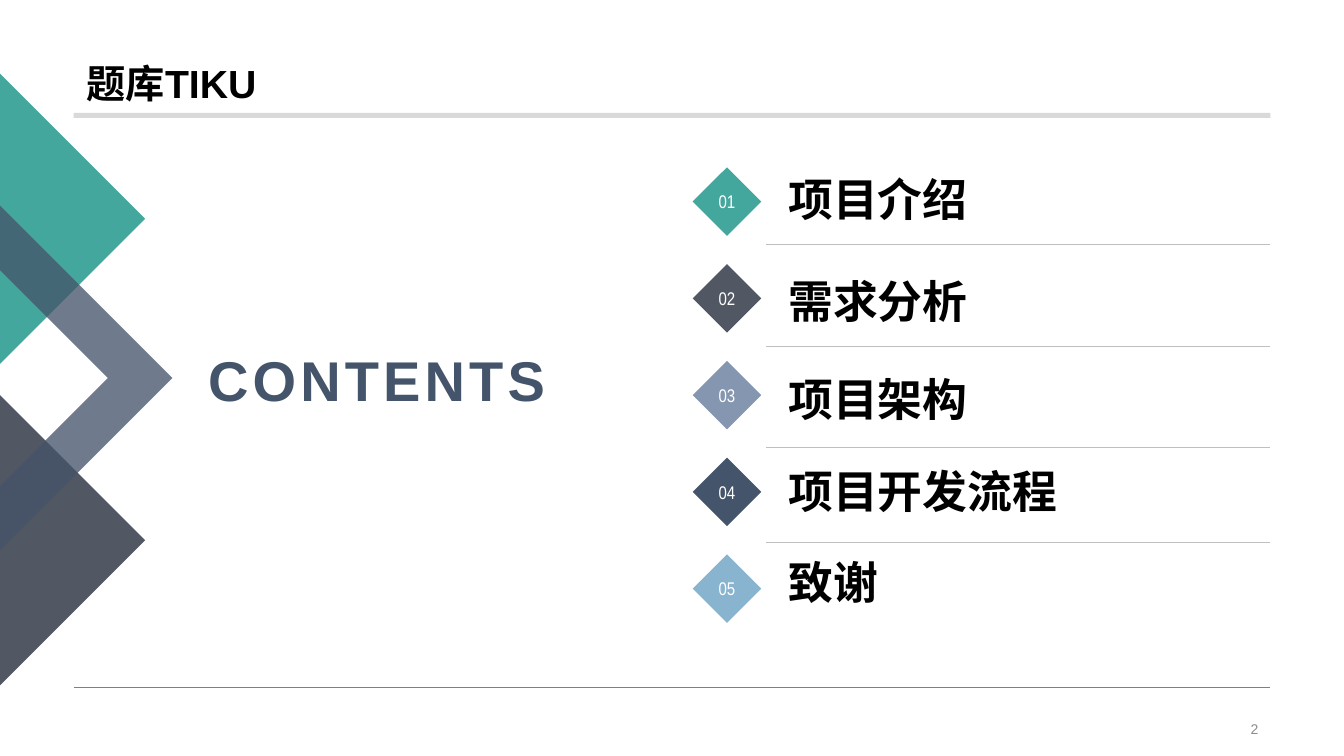
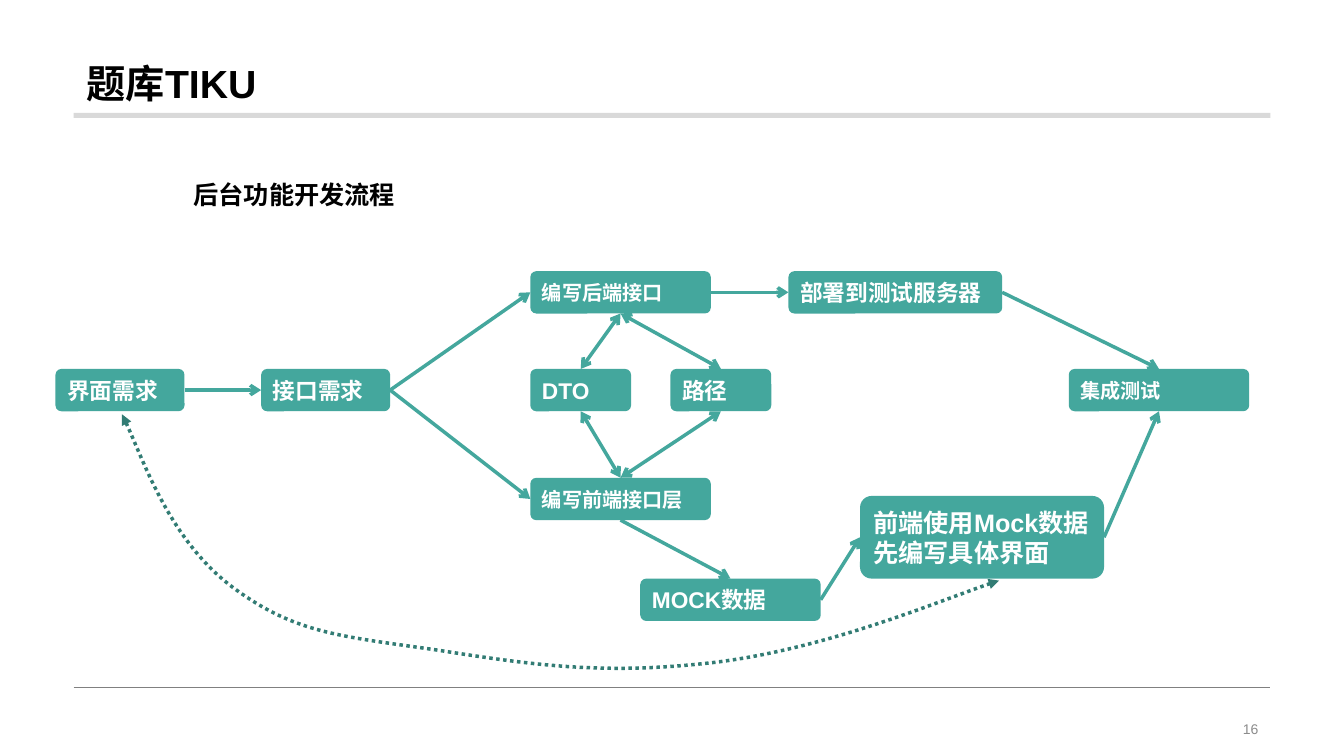
import lxml.etree
import pptx
import pptx.dml.color
import pptx.enum.dml
import pptx.enum.shapes
import pptx.enum.text
import pptx.oxml.ns
import pptx.util

PX = 9144
FONT = "Arial"
COLORS = {
    "white": "FFFFFF", "black": "000000", "band": "D9D9D9", "footer": "808080",
    "number": "8C8C8C", "divider": "BFBFBF", "teal": "44A79D", "deep teal": "327C74",
    "charcoal": "525863", "navy": "44546A", "slate": "8496B0", "sky": "89B4CF",
}
ALIGN = pptx.enum.text.PP_ALIGN
ANCHOR = pptx.enum.text.MSO_ANCHOR
SHAPE = pptx.enum.shapes.MSO_SHAPE
TOP, LEFT, BOTTOM, RIGHT = range(4)

CONTENTS = [
    ("项目介绍", "teal", 170),
    ("需求分析", "charcoal", 271),
    ("项目架构", "slate", 368),
    ("项目开发流程", "navy", 459),
    ("致谢", "sky", 550),
]
DIVIDERS = [242, 343, 444, 538]
CHEVRONS = [
    ([(0, 680), (0, 392), (144, 536)], "charcoal", None),
    ([(0, 73), (144, 217), (0, 361)], "teal", None),
    ([(171, 375), (0, 546), (0, 482), (107, 375), (0, 268), (0, 204)], "navy", 77),
]
STEPS = {
    "screen": ("界面需求", (55, 366, 128, 42), 16.2),
    "interface": ("接口需求", (259, 366, 128, 42), 16.2),
    "backend": ("编写后端接口", (526, 269, 179, 42), 14.4),
    "frontend": ("编写前端接口层", (526, 474, 179, 42), 14.4),
    "dto": ("DTO", (526, 366, 100, 42), 16.2),
    "route": ("路径", (665, 366, 100, 42), 16.2),
    "pages": ("前端使用Mock数据\n先编写具体界面", (853, 492, 242, 82), 18),
    "mock": ("MOCK数据", (635, 574, 179, 42), 16.2),
    "deploy": ("部署到测试服务器", (782, 269, 212, 42), 16.2),
    "integration": ("集成测试", (1060, 366, 179, 42), 14.4),
}
FLOWS = [
    ("screen", RIGHT, "interface", LEFT, False),
    ("interface", RIGHT, "backend", LEFT, False),
    ("interface", RIGHT, "frontend", LEFT, False),
    ("backend", BOTTOM, "dto", TOP, True),
    ("dto", BOTTOM, "frontend", TOP, True),
    ("backend", BOTTOM, "route", TOP, True),
    ("route", BOTTOM, "frontend", TOP, True),
    ("backend", RIGHT, "deploy", LEFT, False),
    ("frontend", BOTTOM, "mock", TOP, False),
    ("mock", RIGHT, "pages", LEFT, False),
    ("deploy", RIGHT, "integration", TOP, False),
    ("pages", RIGHT, "integration", BOTTOM, False),
]
FEEDBACK = [
    (121, 411), (138, 444), (168, 535), (230, 582), (293, 629), (338, 631), (434, 645),
    (530, 660), (599, 670), (710, 657), (822, 643), (941, 592), (991, 576),
]


def qn(tag):
    """Return the qualified name of a prefixed tag."""
    return pptx.oxml.ns.qn(tag)


def rgb(color):
    """Return the named colour."""
    return pptx.dml.color.RGBColor.from_string(COLORS[color])


def emu(lengths):
    """Turn px lengths into EMU."""
    return [pptx.util.Emu(length * PX) for length in lengths]


def write(frame, text, size=18, color="black", bold=False, font=FONT, align=ALIGN.LEFT,
          anchor=ANCHOR.MIDDLE, wrap=True, line_spacing=None, tracking=None):
    """Fill a text frame with text in one format."""
    frame.text = text
    frame.word_wrap = wrap
    frame.vertical_anchor = anchor
    for paragraph in frame.paragraphs:
        paragraph.alignment = align
        paragraph.line_spacing = line_spacing
        for run in paragraph.runs:
            run.font.name = font
            run.font.size = pptx.util.Pt(size)
            run.font.bold = bold
            run.font.color.rgb = rgb(color)
            if tracking:
                run.font._element.set("spc", str(tracking * 100))


def add_label(slide, box, text, **style):
    """Add a text box."""
    write(slide.shapes.add_textbox(*emu(box)).text_frame, text, **style)


def paint(shape, color, opacity=None):
    """Give a shape a flat fill without line or shadow."""
    shape.shadow.inherit = False
    shape.line.fill.background()
    shape.fill.solid()
    shape.fill.fore_color.rgb = rgb(color)
    if opacity:
        tint = shape._element.spPr.find(".//" + qn("a:srgbClr"))
        lxml.etree.SubElement(tint, qn("a:alpha"), val=str(opacity * 1000))


def add_block(slide, kind, box, color):
    """Add a flat preset shape."""
    block = slide.shapes.add_shape(kind, *emu(box))
    paint(block, color)
    return block


def add_arrowheads(shape, head, tail):
    """Put arrowheads on the ends of a line that has its colour set."""
    outline = shape._element.spPr.find(qn("a:ln"))
    for tag, kind in (("a:headEnd", head), ("a:tailEnd", tail)):
        if kind:
            lxml.etree.SubElement(outline, qn(tag), type=kind)


def add_line(slide, color, width, ends=(0, 0, 0, 0), head=None, tail=None):
    """Add a straight connector."""
    line = slide.shapes.add_connector(pptx.enum.shapes.MSO_CONNECTOR.STRAIGHT, *emu(ends))
    line.line.color.rgb = rgb(color)
    line.line.width = pptx.util.Pt(width)
    add_arrowheads(line, head, tail)
    lxml.etree.SubElement(line._element.spPr, qn("a:effectLst"))
    return line


def add_outline(slide, points, close=True):
    """Add a freeform through px points."""
    builder = slide.shapes.build_freeform(*points[0], scale=PX)
    builder.add_line_segments(points[1:], close=close)
    return builder.convert_to_shape()


def add_curve(slide, points, color, width):
    """Add a dotted Bezier curve with triangles at both ends."""
    curve = add_outline(slide, points, close=False)
    curve.shadow.inherit = False
    curve.fill.background()
    curve.line.color.rgb = rgb(color)
    curve.line.width = pptx.util.Pt(width)
    curve.line.dash_style = pptx.enum.dml.MSO_LINE.ROUND_DOT
    add_arrowheads(curve, "triangle", "triangle")
    segments = list(curve._element.iter(qn("a:lnTo")))
    for start in range(0, len(segments), 3):
        first, *others = segments[start:start + 3]
        bend = lxml.etree.Element(qn("a:cubicBezTo"))
        first.addprevious(bend)
        for segment in (first, *others):
            bend.append(segment[0])
            segment.getparent().remove(segment)


def add_page(deck, number):
    """Add a slide with the shared title, band, footer line and number."""
    slide = deck.slides.add_slide(deck.slide_layouts[5])
    add_line(slide, "footer", 0.5, (73, 682, 1260, 682))
    add_block(slide, SHAPE.RECTANGLE, (73, 112, 1187, 5), "band")
    title = slide.shapes.title
    title.left, title.top, title.width, title.height = emu((76, 0, 1181, 111))
    write(title.text_frame, "题库TIKU", size=28, bold=True, anchor=ANCHOR.BOTTOM,
          line_spacing=0.9)
    title.text_frame.auto_size = pptx.enum.text.MSO_AUTO_SIZE.NONE
    add_label(slide, (942, 712, 316, 23), str(number), size=10, color="number",
              align=ALIGN.RIGHT)
    return slide


def build_contents(deck):
    """Build the contents slide."""
    slide = add_page(deck, 2)
    for points, color, opacity in CHEVRONS:
        paint(add_outline(slide, points), color, opacity)
    add_label(slide, (169, 326, 409, 101), "CONTENTS", size=40, color="navy", bold=True,
              align=ALIGN.CENTER, tracking=3)
    for index, (topic, color, top) in enumerate(CONTENTS):
        badge = add_block(slide, SHAPE.DIAMOND, (687, 166 + 96 * index, 68, 68), color)
        write(badge.text_frame, f"{index + 1:02}", size=13.1, color="white",
              font="Arial Narrow", align=ALIGN.CENTER, wrap=False)
        add_label(slide, (772, top, 433, 59), topic, size=32, bold=True,
                  anchor=ANCHOR.BOTTOM)
    for y in DIVIDERS:
        add_line(slide, "divider", 0.25, (760, y, 1260, y))


def build_workflow(deck):
    """Build the development workflow slide."""
    slide = add_page(deck, 16)
    add_label(slide, (182, 173, 444, 40), "后台功能开发流程", bold=True, anchor=ANCHOR.TOP)
    steps = {}
    for key, (text, box, size) in STEPS.items():
        steps[key] = add_block(slide, SHAPE.ROUNDED_RECTANGLE, box, "teal")
        steps[key].adjustments[0] = 0.14
        write(steps[key].text_frame, text, size=size, color="white", bold=True, wrap=False)
    for source, source_side, target, target_side, two_way in FLOWS:
        flow = add_line(slide, "teal", 2.5, head="arrow" if two_way else None, tail="arrow")
        flow.begin_connect(steps[source], source_side)
        flow.end_connect(steps[target], target_side)
    add_curve(slide, FEEDBACK, "deep teal", 2.5)


def main():
    """Build and save the deck."""
    deck = pptx.Presentation()
    deck.slide_width, deck.slide_height = emu((1333, 750))
    build_contents(deck)
    build_workflow(deck)
    deck.save("out.pptx")


if __name__ == "__main__":
    main()
